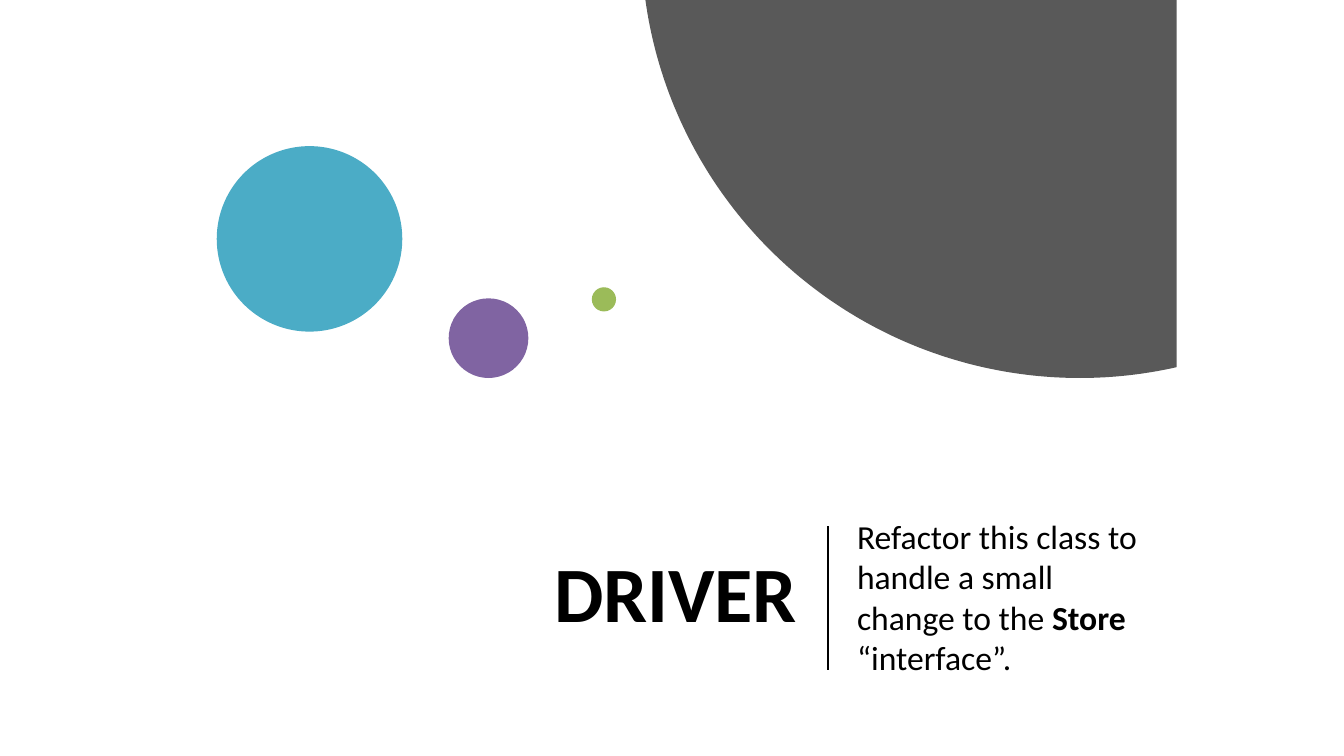
from math import acos, asin, cos, pi, sin

from pptx import Presentation
from pptx.dml.color import RGBColor
from pptx.enum.shapes import MSO_CONNECTOR as Connector
from pptx.enum.shapes import MSO_SHAPE as Shape
from pptx.enum.text import MSO_ANCHOR as Anchor
from pptx.enum.text import MSO_AUTO_SIZE as AutoSize
from pptx.enum.text import PP_ALIGN as Align
from pptx.oxml.ns import qn
from pptx.util import Inches, Pt

COLORS = {
    "text": "000000",
    "teal": "4BACC6",
    "purple": "8064A2",
    "green": "9BBB59",
    "gray": "595959",
}


class SlideBuilder:
    font = "Calibri"

    def __init__(self, page):
        self.page = page

    def color(self, name):
        return RGBColor.from_string(COLORS[name])

    def paint(self, shape, color):
        shape.shadow.inherit = False
        shape.fill.solid()
        shape.fill.fore_color.rgb = self.color(color)
        shape.line.fill.background()

    def placeholder(self, index, left, top, width, height, size, spans, align, spacing):
        box = self.page.placeholders[index]
        box.left, box.top = Inches(left), Inches(top)
        box.width, box.height = Inches(width), Inches(height)
        frame = box.text_frame
        frame.word_wrap = True
        frame.auto_size = AutoSize.NONE
        frame.vertical_anchor = Anchor.MIDDLE
        para = frame.paragraphs[0]
        props = para._p.get_or_add_pPr()
        props.set("marL", "0")
        props.set("indent", "0")
        props.append(props.makeelement(qn("a:buNone"), {}))
        para.alignment = align
        para.line_spacing = spacing
        para.space_before = Pt(0)
        for text, bold in spans:
            span = para.add_run()
            span.text = text
            span.font.name = self.font
            span.font.size = Pt(size)
            span.font.bold = bold
            span.font.color.rgb = self.color("text")

    def circle(self, left, top, diameter, color):
        side = Inches(diameter)
        shape = self.page.shapes.add_shape(Shape.OVAL, Inches(left), Inches(top), side, side)
        self.paint(shape, color)

    def cropped_circle(self, center_x, center_y, radius, right, color, steps=120):
        start = acos((right - center_x) / radius)
        end = pi - asin(-center_y / radius)
        angles = [start + (end - start) * step / steps for step in range(steps + 1)]
        arc = [
            (Inches(center_x + radius * cos(angle)), Inches(center_y + radius * sin(angle)))
            for angle in angles
        ]
        builder = self.page.shapes.build_freeform(Inches(right), 0)
        builder.add_line_segments(arc, close=True)
        self.paint(builder.convert_to_shape(), color)

    def line(self, x1, y1, x2, y2, color, width):
        line = self.page.shapes.add_connector(
            Connector.STRAIGHT, Inches(x1), Inches(y1), Inches(x2), Inches(y2)
        )
        line.line.color.rgb = self.color(color)
        line.line.width = Pt(width)
        props = line._element.spPr
        props.append(props.makeelement(qn("a:effectLst"), {}))


def main():
    deck = Presentation()
    deck.slide_width, deck.slide_height = Inches(13.33), Inches(7.5)
    slide = SlideBuilder(deck.slides.add_slide(deck.slide_layouts[1]))

    slide.placeholder(0, 2.35, 4.98, 5.66, 1.88, 56, [("DRIVER", True)], Align.RIGHT, 0.9)
    task = [
        ("Refactor this class to handle a small change to the ", False),
        ("Store", True),
        (" “interface”.", False),
    ]
    slide.placeholder(1, 8.4, 4.98, 3.1, 1.88, 24, task, Align.LEFT, 1.0)

    slide.circle(2.15, 1.45, 1.84, "teal")
    slide.circle(4.45, 2.96, 0.79, "purple")
    slide.circle(5.87, 2.85, 0.24, "green")
    slide.cropped_circle(10.71, -0.6, 4.35, 11.67, "gray")
    slide.line(8.21, 5.22, 8.21, 6.65, "text", 1.5)

    deck.save("out.pptx")


if __name__ == "__main__":
    main()
